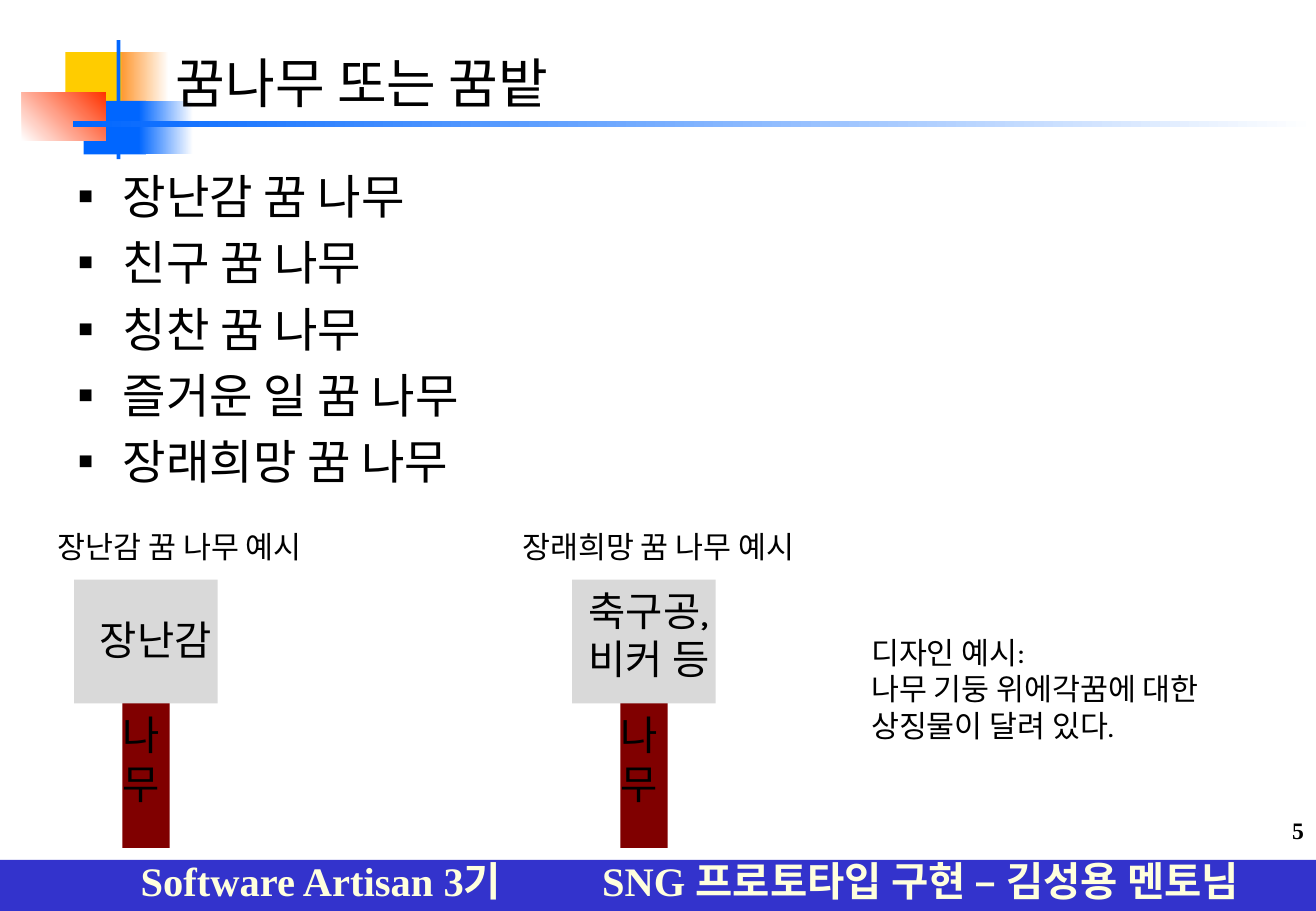
from dataclasses import dataclass
from lxml.etree import SubElement
from pptx import Presentation
from pptx.dml.color import RGBColor
from pptx.enum.shapes import MSO_SHAPE
from pptx.enum.text import MSO_ANCHOR, PP_ALIGN
from pptx.oxml.ns import qn
from pptx.util import Cm, Pt


@dataclass(frozen=True)
class Theme:
    serif: str = "Times New Roman"
    sans: str = "Karla"
    black: str = "000000"
    white: str = "FFFFFF"
    cream: str = "FFFFDD"
    navy: str = "3333CC"
    blue: str = "0066FF"
    gold: str = "FFCC00"
    orange: str = "FF9933"
    red: str = "FF3300"
    bark: str = "800000"
    gray: str = "D9D9D9"
    title: int = 32
    body: int = 28
    label: int = 24
    note: int = 18
    page: int = 14


THEME = Theme()


def add_rect(slide, box, color, fade=None, angle=0):
    rect = slide.shapes.add_shape(MSO_SHAPE.RECTANGLE, *map(Cm, box))
    rect.shadow.inherit = False
    rect.line.fill.background()
    if fade is None:
        rect.fill.solid()
        rect.fill.fore_color.rgb = RGBColor.from_string(color)
        return
    rect.fill.gradient()
    rect.fill.gradient_angle = angle
    for stop, tone, place in zip(rect.fill.gradient_stops, (color, fade), (0, 1)):
        stop.color.rgb = RGBColor.from_string(tone)
        stop.position = place


def add_text(slide, box, text, size, font=THEME.sans, color=THEME.black,
             bold=False, align=PP_ALIGN.LEFT, anchor=MSO_ANCHOR.TOP):
    frame = slide.shapes.add_textbox(*map(Cm, box)).text_frame
    frame.word_wrap = True
    frame.vertical_anchor = anchor
    frame.text = text
    for para in frame.paragraphs:
        para.alignment = align
        for run in para.runs:
            run.font.size = Pt(size)
            run.font.name = font
            run.font.bold = bold
            run.font.color.rgb = RGBColor.from_string(color)
    return frame


def add_list(slide, box, items):
    frame = add_text(slide, box, "\n".join(items), THEME.body, THEME.serif)
    for para in frame.paragraphs:
        para.space_before = Pt(THEME.body * 0.2)
        props = para._p.get_or_add_pPr()
        props.set("marL", str(Cm(0.95)))
        props.set("indent", str(-Cm(0.95)))
        SubElement(props, qn("a:buFont"), typeface=THEME.serif)
        SubElement(props, qn("a:buChar"), char="▪")


def add_footer(slide):
    add_rect(slide, (0, 17.98, 27.51, 1.07), THEME.navy)
    frame = add_text(slide, (2.69, 17.78, 24.87, 1.27),
                     "Software Artisan 3기\tSNG 프로토타입 구현 – 김성용 멘토님",
                     THEME.label, THEME.serif, THEME.cream, True, PP_ALIGN.JUSTIFY)
    props = frame.paragraphs[0]._p.get_or_add_pPr()
    tabs = SubElement(props, qn("a:tabLst"))
    SubElement(tabs, qn("a:tab"), pos=str(Cm(9.65)), algn="l")


def add_header(slide):
    add_rect(slide, (1.37, 1.09, 1.37, 1.12), THEME.gold)
    add_rect(slide, (2.54, 1.09, 0.99, 1.12), THEME.orange, THEME.white)
    add_rect(slide, (1.75, 2.11, 1.3, 1.12), THEME.blue)
    add_rect(slide, (2.9, 2.11, 1.14, 1.12), THEME.blue, THEME.white)
    add_rect(slide, (0.46, 1.93, 1.75, 1.02), THEME.white, THEME.red, 45)
    add_rect(slide, (2.44, 0.84, 0.08, 2.49), THEME.blue)
    add_rect(slide, (1.52, 2.54, 25.98, 0.11), THEME.blue, THEME.white)
    add_text(slide, (3.43, 1.07, 22.02, 1.27), "꿈나무 또는 꿈밭",
             THEME.title, THEME.serif, anchor=MSO_ANCHOR.MIDDLE)


def add_tree(slide, left, sign, top, width, title, start):
    add_rect(slide, (left + 1.01, 14.12, 0.99, 3.61), THEME.bark)
    add_text(slide, (left + 0.61, 14.73, 1.6, 2.31), "나\n무",
             THEME.label, align=PP_ALIGN.CENTER)
    add_rect(slide, (left, 12.12, 3, 2.59), THEME.gray)
    add_text(slide, (left - 0.2, top, width, 1.27), sign,
             THEME.label, align=PP_ALIGN.CENTER)
    add_text(slide, (start, 10.92, 10, 1.02), title,
             THEME.note, align=PP_ALIGN.CENTER)


def main():
    deck = Presentation()
    deck.slide_width, deck.slide_height = Cm(27.51), Cm(19.05)
    slide = deck.slides.add_slide(deck.slide_layouts[6])
    add_footer(slide)
    add_header(slide)
    kinds = ("장난감", "친구", "칭찬", "즐거운 일", "장래희망")
    add_list(slide, (1.37, 3.38, 24.99, 13.34), [f"{kind} 꿈 나무" for kind in kinds])
    add_text(slide, (21.11, 16.94, 6.4, 1.07), "5", THEME.page, THEME.serif,
             bold=True, align=PP_ALIGN.RIGHT)
    add_tree(slide, 1.55, "장난감", 12.73, 3.81, "장난감 꿈 나무 예시", -1.24)
    add_tree(slide, 11.96, "축구공,\n비커 등", 12.12, 3.61, "장래희망 꿈 나무 예시", 8.76)
    add_text(slide, (17.96, 13.13, 8.99, 2.57),
             "디자인 예시:\n나무 기둥 위에각꿈에 대한 상징물이 달려 있다.", THEME.note)
    deck.save("out.pptx")


if __name__ == "__main__":
    main()
